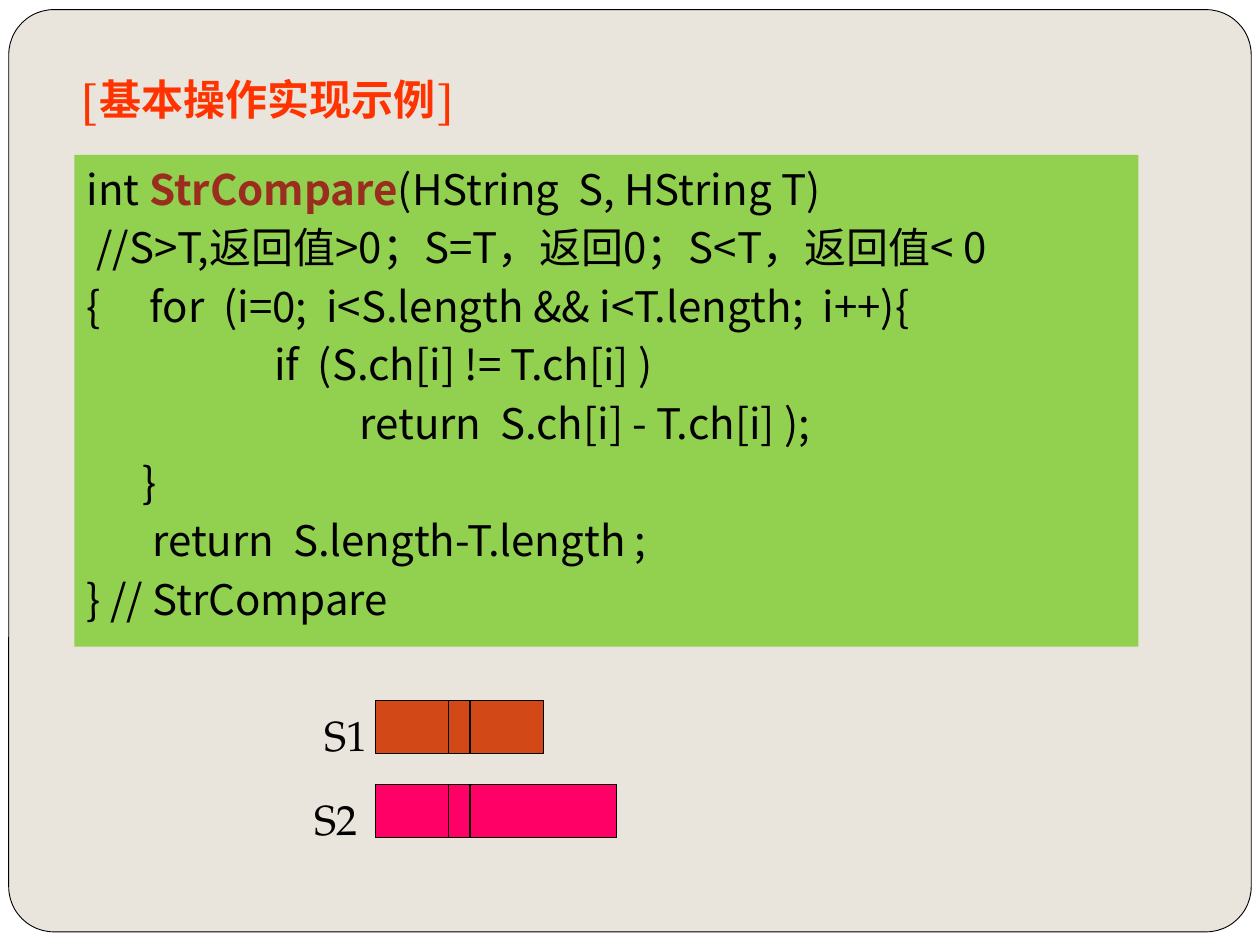
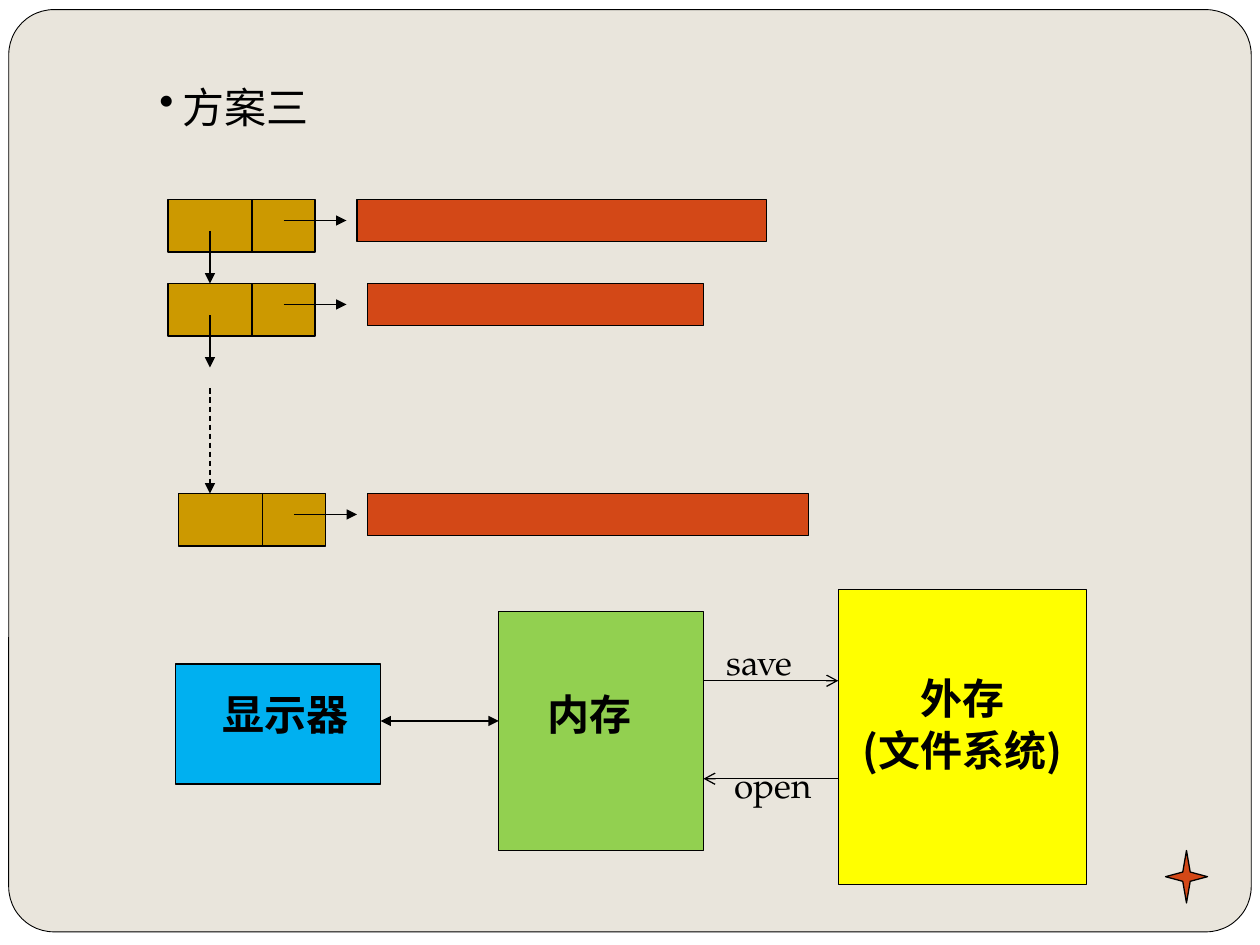
import pptx
import pptx.dml.color
import pptx.enum.dml
import pptx.enum.shapes
import pptx.enum.text
import pptx.oxml
import pptx.oxml.ns
import pptx.util

Pt = pptx.util.Pt
SHAPE = pptx.enum.shapes.MSO_SHAPE
CENTER = pptx.enum.text.PP_ALIGN.CENTER

COLORS = {
    "sheet": "FFFFFF", "frame": "E9E5DC", "ink": "000000",
    "title": "FF3300", "function": "9B2D1F", "memory": "92D050",
    "data": "D34817", "second": "FF0066", "node": "CC9900",
    "display": "00B0F0", "storage": "FFFF00",
}
SERIF = "TeX Gyre Pagella"
SANS = "Noto Sans CJK SC"

CODE = [
    (0, ["int ", "*StrCompare", "(HString  S, HString T)"]),
    (5.5, ["//S>T,返回值>0；S=T，返回0；S<T，返回值< 0"]),
    (0, ["{\tfor  (i=0;  i<S.length && i<T.length;  i++){"]),
    (107, ["if  (S.ch[i] != T.ch[i] )"]),
    (156, ["return  S.ch[i] - T.ch[i] );"]),
    (32, ["}"]),
    (37.5, ["return  S.length-T.length ;"]),
    (0, ["} // StrCompare"]),
]


def rgb(name):
    return pptx.dml.color.RGBColor.from_string(COLORS[name])


def add_xml(parent, tag, **attributes):
    element = pptx.oxml.parse_xml(
        f"<a:{tag} {pptx.oxml.ns.nsdecls('a')}/>")
    for key, value in attributes.items():
        element.set(key, str(value))
    parent.append(element)
    return element


def add_block(page, left, top, width, height, fill, line=0.75,
              kind=SHAPE.RECTANGLE, adjust=None):
    block = page.shapes.add_shape(kind, Pt(left), Pt(top), Pt(width), Pt(height))
    block.shadow.inherit = False
    block.fill.solid()
    block.fill.fore_color.rgb = rgb(fill)
    if line:
        block.line.color.rgb = rgb("ink")
        block.line.width = Pt(line)
    else:
        block.line.fill.background()
    if adjust is not None:
        block.adjustments[0] = adjust
    return block


def add_line(page, start, end, head=None, tail=None, dashed=False):
    line = page.shapes.add_connector(
        pptx.enum.shapes.MSO_CONNECTOR.STRAIGHT,
        Pt(start[0]), Pt(start[1]), Pt(end[0]), Pt(end[1]))
    line.line.color.rgb = rgb("ink")
    line.line.width = Pt(0.75)
    if dashed:
        line.line.dash_style = pptx.enum.dml.MSO_LINE.DASH
    outline = line.line._get_or_add_ln()
    for tag, style in (("headEnd", head), ("tailEnd", tail)):
        if style:
            add_xml(outline, tag, type=style)
    add_xml(line._element.spPr, "effectLst")


def style_paragraph(para, font, size, color="ink", bold=False):
    para.line_spacing = Pt(size * 1.25)
    para.font.name = font
    para.font.size = Pt(size)
    para.font.bold = bold
    para.font.color.rgb = rgb(color)
    add_xml(para.font._element, "ea", typeface=SANS)


def add_text(page, left, top, width, height, lines, font=SERIF, size=24,
             color="ink", bold=False, align=None):
    box = page.shapes.add_textbox(Pt(left), Pt(top), Pt(width), Pt(height))
    frame = box.text_frame
    frame.word_wrap = True
    frame.text = "\n".join(lines)
    for para in frame.paragraphs:
        style_paragraph(para, font, size, color, bold)
        para.alignment = align
    return box


def add_code(page, left, top, width, height):
    box = add_block(page, left, top, width, height, "memory", line=0)
    frame = box.text_frame
    frame.word_wrap = True
    frame.vertical_anchor = pptx.enum.text.MSO_ANCHOR.TOP
    for index, (indent, pieces) in enumerate(CODE):
        para = frame.add_paragraph() if index else frame.paragraphs[0]
        para.alignment = pptx.enum.text.PP_ALIGN.LEFT
        para.space_before = Pt(3.5)
        style_paragraph(para, SANS, 24)
        properties = para._p.get_or_add_pPr()
        properties.set("marL", str(Pt(indent)))
        properties.set("indent", "0")
        tabs = add_xml(properties, "tabLst")
        add_xml(tabs, "tab", pos=Pt(29.5), algn="l")
        properties.append(properties.find(pptx.oxml.ns.qn("a:defRPr")))
        for piece in pieces:
            span = para.add_run()
            span.text = piece.lstrip("*")
            if piece.startswith("*"):
                span.font.bold = True
                span.font.color.rgb = rgb("function")


def add_bullet_title(page, text):
    box = add_text(page, 84, 42, 306, 36, [text])
    properties = box.text_frame.paragraphs[0]._p.get_or_add_pPr()
    properties.set("marL", str(Pt(13.5)))
    properties.set("indent", str(-Pt(13.5)))
    add_xml(properties, "buChar", char="•")
    properties.append(properties.find(pptx.oxml.ns.qn("a:defRPr")))


def add_string(page, label, label_left, label_width, top, width, fill):
    left = 214.5
    add_block(page, left, top, width, 30, fill)
    add_text(page, label_left, top, label_width, 36, [label])
    for offset in (42, 54):
        add_line(page, (left + offset, top), (left + offset, top + 30))


def add_node(page, left, top, linked):
    add_block(page, left, top, 84, 30, "node")
    add_line(page, (left + 48, top), (left + 48, top + 30))
    add_line(page, (left + 66, top + 12), (left + 102, top + 12), tail="triangle")
    if linked:
        add_line(page, (left + 24, top + 18), (left + 24, top + 48), tail="triangle")


def add_page(deck):
    page = deck.slides.add_slide(deck.slide_layouts[6])
    add_block(page, 0, 0, 720, 540, "sheet", line=0)
    add_block(page, 5, 5.5, 710, 527, "frame", line=0.5,
              kind=SHAPE.ROUNDED_RECTANGLE, adjust=0.049)
    return page


def build_compare_page(deck):
    page = add_page(deck)
    add_text(page, 39, 37.5, 252, 36, ["[基本操作实现示例]"], color="title", bold=True)
    add_code(page, 42.5, 88.5, 608, 281)
    add_string(page, "S1", 178.5, 66, 400.5, 96, "data")
    add_string(page, "S2", 172.5, 78, 448.5, 138, "second")


def build_storage_page(deck):
    page = add_page(deck)
    add_bullet_title(page, "方案三")
    rows = [(96, 114, True, 204, 234), (96, 162, True, 210, 192),
            (102, 282, False, 210, 252)]
    for node_left, top, linked, data_left, data_width in rows:
        add_node(page, node_left, top, linked)
        add_block(page, data_left, top, data_width, 24, "data")
    add_line(page, (120, 222), (120, 282), tail="triangle", dashed=True)

    add_block(page, 100.5, 379.5, 117, 68.5, "display")
    add_block(page, 285, 349.5, 117, 136.5, "memory")
    add_block(page, 479, 337, 142, 168.5, "storage")
    add_text(page, 120, 389, 87, 36, ["显示器"], SANS, bold=True)
    add_text(page, 306, 389, 71, 36, ["内存"], SANS, bold=True)
    add_text(page, 479, 379.5, 142, 65.5, ["外存", "(文件系统)"], SANS,
             bold=True, align=CENTER)
    add_line(page, (402, 389), (479, 389), tail="arrow")
    add_line(page, (479, 445), (402, 445), tail="arrow")
    add_text(page, 408, 361.5, 70.5, 31.5, ["save"], size=20)
    add_text(page, 412.5, 431.5, 62.5, 31.5, ["open"], size=20)
    add_line(page, (217.5, 412), (285, 412), head="triangle", tail="triangle")
    add_block(page, 666, 486, 24, 30, "data", kind=SHAPE.STAR_4_POINT, adjust=0.125)


def main():
    deck = pptx.Presentation()
    deck.slide_width, deck.slide_height = Pt(720), Pt(540)
    background = deck.slide_master.background.fill
    background.solid()
    background.fore_color.rgb = rgb("frame")
    build_compare_page(deck)
    build_storage_page(deck)
    deck.save("out.pptx")


main()
